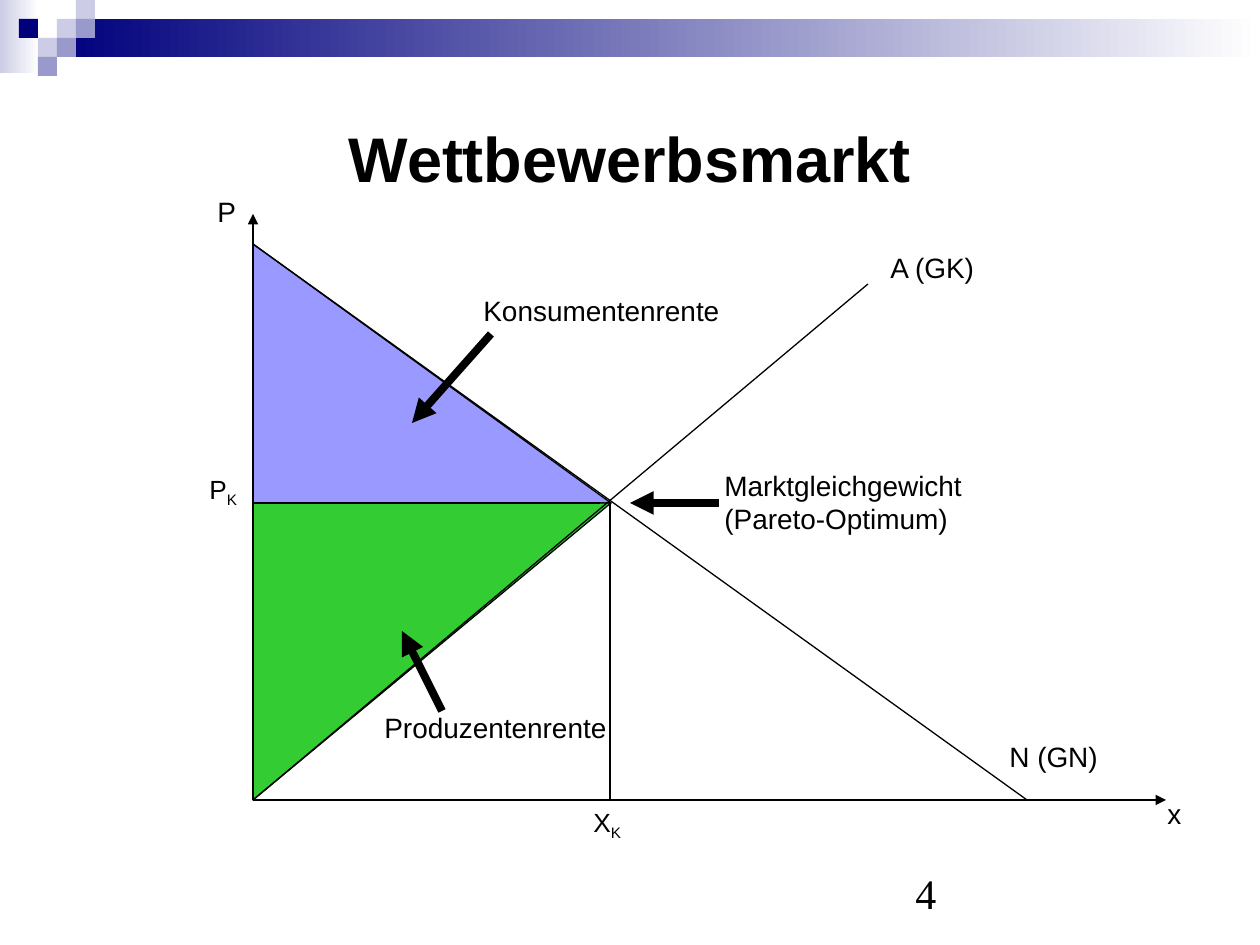
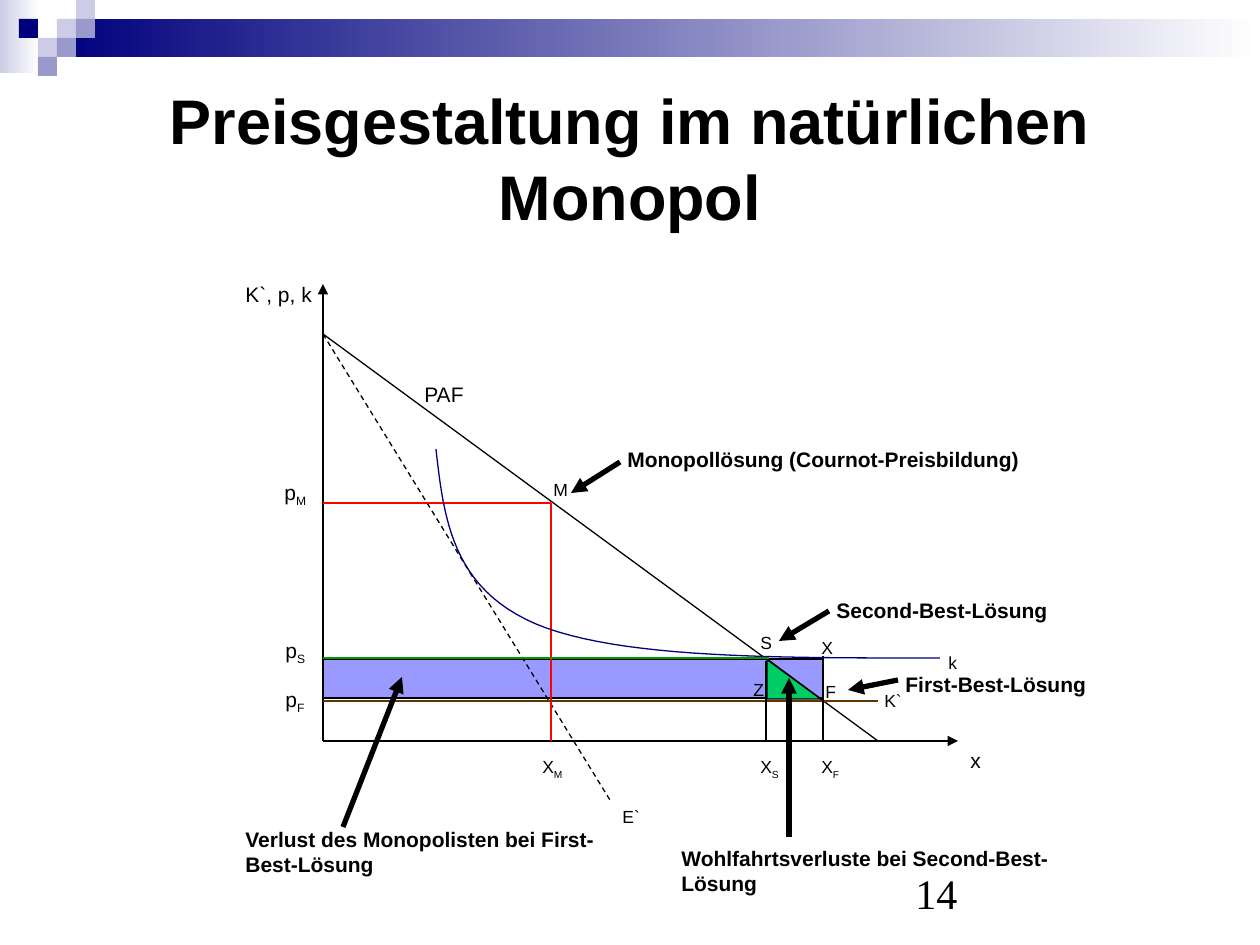
from lxml import etree
from pptx import Presentation
from pptx import util as u
from pptx.dml.color import RGBColor
from pptx.enum import dml, shapes, text
from pptx.oxml.ns import qn

PX = 914400 / 126  # EMU per px
COLORS = {
    "ink": "000000", "white": "FFFFFF", "navy": "00007D",
    "lavender": "CCCCE6", "violet": "9999CC",
    "consumer": "9999FF", "producer": "33CC33", "welfare": "00CC66",
    "monopoly": "FF0000", "marginal_cost": "663300", "average_cost": "009900",
}
SQUARE = 19
SQUARES = [  # column, row, colour
    (3, 1, "lavender"), (4, 0, "lavender"), (4, 1, "violet"), (2, 2, "lavender"),
    (1, 1, "navy"), (3, 2, "violet"), (2, 3, "violet"),
]


def emu(*lengths):
    return [u.Emu(round(length * PX)) for length in lengths]


def rgb(name):
    return RGBColor.from_string(COLORS[name])


def add_run(paragraph, words, size, bold=False, font="Arial", subscript=False):
    run = paragraph.add_run()
    run.text = words
    run.font.name = font
    run.font.size = u.Pt(size)
    run.font.bold = bold
    run.font.color.rgb = rgb("ink")
    if subscript:
        run._r.get_or_add_rPr().set("baseline", "-25000")


def add_area(slide, kind, box, color, outlined=True):
    area = slide.shapes.add_shape(kind, *emu(*box))
    area.shadow.inherit = False
    area.fill.solid()
    area.fill.fore_color.rgb = rgb(color)
    if outlined:
        area.line.color.rgb = rgb("ink")
        area.line.width = u.Pt(0.75)
    else:
        area.line.fill.background()
    return area


def add_rectangle(slide, box, color, outlined=True):
    return add_area(slide, shapes.MSO_SHAPE.RECTANGLE, box, color, outlined)


def add_triangle(slide, box, color, upside_down=False):
    triangle = add_area(slide, shapes.MSO_SHAPE.RIGHT_TRIANGLE, box, color)
    if upside_down:
        triangle._element.spPr.find(qn("a:xfrm")).set("flipV", "1")


def add_fade(slide, box, left_color, right_color):
    fade = add_rectangle(slide, box, left_color, outlined=False)
    fade.fill.gradient()
    fade.fill.gradient_angle = 0
    for stop, color in zip(fade.fill.gradient_stops, (left_color, right_color)):
        stop.color.rgb = rgb(color)


def add_line(slide, start, end, color="ink", width=0.75, arrow=False, dashed=False):
    line = slide.shapes.add_connector(
        shapes.MSO_CONNECTOR.STRAIGHT, *emu(*start, *end))
    line.line.color.rgb = rgb(color)
    line.line.width = u.Pt(width)
    if dashed:
        line.line.dash_style = dml.MSO_LINE.DASH
    properties = line._element.spPr
    if arrow:
        etree.SubElement(properties.find(qn("a:ln")), qn("a:tailEnd"), type="triangle")
    etree.SubElement(properties, qn("a:effectLst"))


def add_pointers(slide, pointers, width):
    for start, end in pointers:
        add_line(slide, start, end, width=width, arrow=True)


def add_axes(slide, origin, top, right):
    add_line(slide, origin, (origin[0], top), arrow=True)
    add_line(slide, origin, (right, origin[1]), arrow=True)


def add_label(slide, words, left, top, width, size, bold=False, lines=1):
    """Text after an underscore is set as a subscript."""
    height = round(13 + 2.1 * size * lines)
    frame = slide.shapes.add_textbox(*emu(left, top, width, height)).text_frame
    frame.word_wrap = True
    frame.auto_size = text.MSO_AUTO_SIZE.SHAPE_TO_FIT_TEXT
    paragraph = frame.paragraphs[0]
    paragraph.space_before = u.Pt(round(size * 0.625, 1))
    base, _, index = words.partition("_")
    add_run(paragraph, base, size, bold)
    if index:
        add_run(paragraph, index, size, bold, subscript=True)


def bezier(start, control_1, control_2, end, steps=24):
    for step in range(1, steps + 1):
        t = step / steps
        weights = ((1 - t) ** 3, 3 * t * (1 - t) ** 2, 3 * t ** 2 * (1 - t), t ** 3)
        yield tuple(sum(w * c for w, c in zip(weights, axis))
                    for axis in zip(start, control_1, control_2, end))


def add_curve(slide, start, pieces, color):
    points = [start]
    for piece in pieces:
        points += bezier(points[-1], *piece)
    builder = slide.shapes.build_freeform(*emu(*start))
    builder.add_line_segments([emu(*point) for point in points[1:]], close=False)
    curve = builder.convert_to_shape()
    curve.shadow.inherit = False
    curve.fill.background()
    curve.line.color.rgb = rgb(color)
    curve.line.width = u.Pt(0.75)


def start_slide(deck, heading, number):
    slide = deck.slides.add_slide(deck.slide_layouts[5])

    # Band with squares
    add_fade(slide, (0, 0, 39, 73), "lavender", "white")
    add_fade(slide, (57, 19, 1203, 38), "navy", "white")
    for column, row, color in SQUARES:
        add_rectangle(slide, (column * SQUARE, row * SQUARE, SQUARE, SQUARE),
                      color, outlined=False)

    # Title
    title = slide.shapes.title
    title.left, title.top, title.width, title.height = emu(63, 63, 1134, 189)
    frame = title.text_frame
    frame.auto_size = text.MSO_AUTO_SIZE.NONE
    frame.vertical_anchor = text.MSO_ANCHOR.MIDDLE
    frame.paragraphs[0].alignment = text.PP_ALIGN.CENTER
    add_run(frame.paragraphs[0], heading, 36, bold=True)

    # Page number
    footer = slide.shapes.add_textbox(*emu(903, 861, 294, 63)).text_frame
    footer.word_wrap = True
    footer.vertical_anchor = text.MSO_ANCHOR.BOTTOM
    add_run(footer.paragraphs[0], number, 24, font="Times New Roman")
    return slide


def build_competition(deck):
    slide = start_slide(deck, "Wettbewerbsmarkt", "4")
    left, base, price, quantity, peak = 253, 800, 503, 610, 244
    surplus_width = quantity - left + 1

    # Surplus areas
    add_triangle(slide, (left, peak, surplus_width, price - peak), "consumer")
    add_triangle(slide, (left, price, surplus_width, base - price), "producer",
                 upside_down=True)

    # Axes, supply, demand and equilibrium
    add_axes(slide, (left, base), 214, 1166)
    add_line(slide, (left, base), (868, 284))
    add_line(slide, (left, peak), (1027, base))
    add_line(slide, (left, price), (600, price))
    add_line(slide, (quantity, price), (quantity, base))

    # Labels
    for words, x, y, width, size in [
        ("P", 205, 188, 68, 16), ("x", 1155, 790, 49, 16),
        ("P_K", 197, 467, 59, 15), ("X_K", 581, 800, 59, 15),
        ("N (GN)", 997, 733, 198, 16), ("A (GK)", 878, 244, 129, 16),
        ("Konsumentenrente", 471, 287, 296, 16),
        ("Produzentenrente", 372, 704, 258, 16),
    ]:
        add_label(slide, words, x, y, width, size)
    add_label(slide, "Marktgleichgewicht (Pareto-Optimum)", 712, 462, 296, 16, lines=2)
    add_pointers(slide, [((491, 334), (412, 423)), ((442, 711), (402, 631)),
                         ((719, price), (630, price))], 4.5)


def build_natural_monopoly(deck):
    slide = start_slide(deck, "Preisgestaltung im natürlichen Monopol", "14")
    left, base, peak = 323, 741, 334
    price_m, price_s, price_f = 503, 658, 701
    quantity_m, quantity_s, quantity_f = 551, 766, 823

    # Loss and welfare areas
    add_rectangle(slide, (left, 659, 500, 39), "consumer")
    add_triangle(slide, (767, 659, 54, 40), "welfare")

    # Axes, demand and marginal revenue
    add_axes(slide, (left, base), 284, 958)
    add_line(slide, (left, peak), (878, base))
    add_line(slide, (left, peak), (610, 800), dashed=True)

    # Prices and quantities
    add_line(slide, (left, price_m), (quantity_m, price_m), "monopoly")
    add_line(slide, (quantity_m, price_m), (quantity_m, base), "monopoly")
    add_line(slide, (left, price_f), (878, price_f), "marginal_cost")
    add_line(slide, (left, price_s), (769, price_s), "average_cost")
    add_line(slide, (quantity_s, 661), (quantity_s, base))
    add_line(slide, (quantity_f, 656), (quantity_f, base))

    # Average cost curve
    add_curve(slide, (436, 449), [((444, 519), (452, 588), (536, 624)),
                                  ((620, 659), (780, 658), (940, 658))], "navy")

    # Axis and point labels
    for words, x, y, width, size in [
        ("K`, p, k", 233, 275, 169, 12), ("x", 958, 741, 169, 12),
        ("p_M", 272, 473, 169, 12), ("p_S", 273, 631, 169, 12),
        ("p_F", 273, 680, 169, 12), ("PAF", 412, 375, 100, 12),
        ("E`", 610, 800, 169, 10), ("X_M", 530, 750, 49, 10),
        ("X_S", 748, 750, 49, 10), ("X_F", 809, 750, 49, 10),
        ("k", 936, 646, 49, 10), ("K`", 872, 684, 54, 10),
        ("M", 541, 473, 39, 10), ("S", 748, 626, 39, 10),
        ("X", 809, 631, 39, 10), ("F", 813, 675, 39, 10),
        ("Z", 741, 673, 39, 10),
    ]:
        add_label(slide, words, x, y, width, size)

    # Solutions and losses
    for words, x, y, width, lines in [
        ("Monopollösung (Cournot-Preisbildung)", 615, 440, 501, 1),
        ("Second-Best-Lösung", 824, 591, 397, 1),
        ("First-Best-Lösung", 893, 665, 360, 1),
        ("Verlust des Monopolisten bei First-Best-Lösung", 233, 820, 397, 2),
        ("Wohlfahrtsverluste bei Second-Best-Lösung", 669, 839, 397, 2),
    ]:
        add_label(slide, words, x, y, width, 12, bold=True, lines=lines)
    add_pointers(slide, [((620, 462), (571, 493)), ((829, 611), (779, 641)),
                         ((898, 680), (848, 690)), ((343, 827), (402, 677)),
                         ((789, 837), (789, 678))], 3)


def main():
    deck = Presentation()
    deck.slide_width, deck.slide_height = emu(1260, 945)
    build_competition(deck)
    build_natural_monopoly(deck)
    deck.save("out.pptx")


if __name__ == "__main__":
    main()
